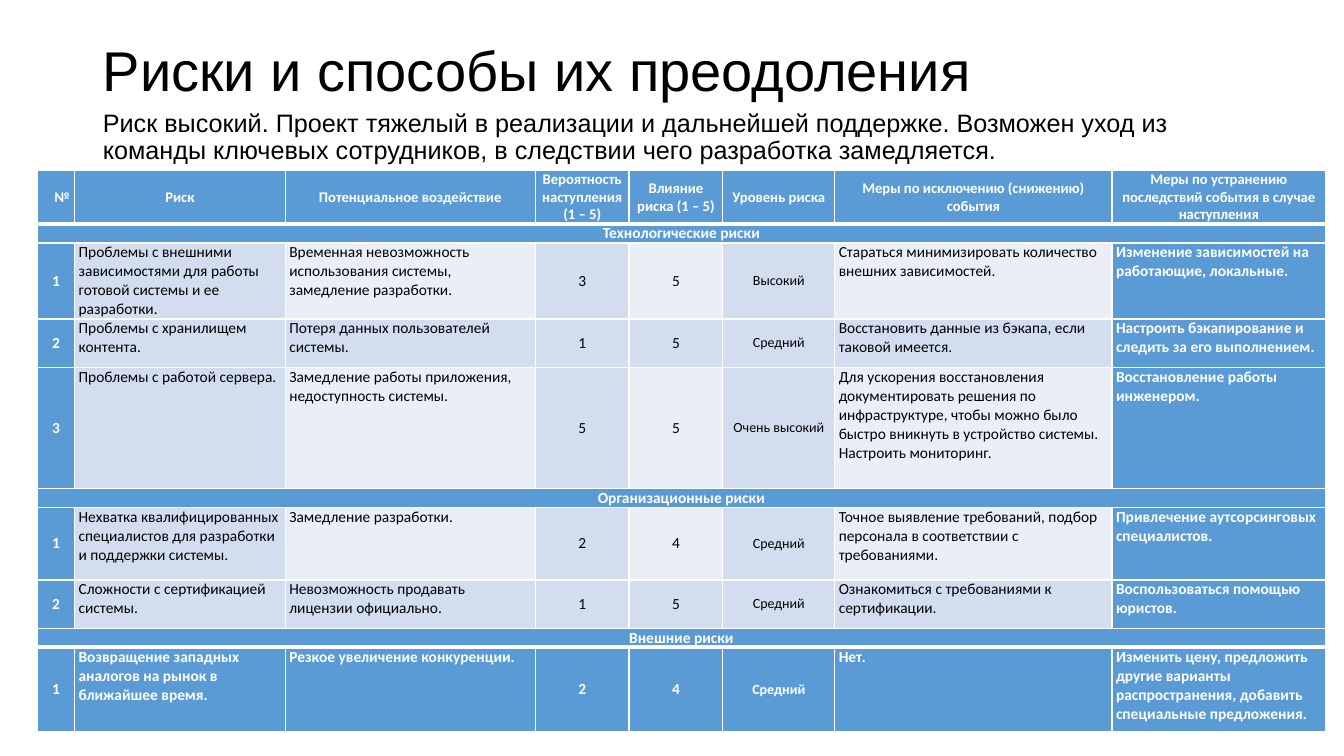
import lxml.etree
import pptx
import pptx.dml.color
import pptx.enum.text
import pptx.oxml.ns
import pptx.util

RGBColor = pptx.dml.color.RGBColor
Inches = pptx.util.Inches
Pt = pptx.util.Pt
ALIGN = pptx.enum.text.PP_ALIGN
ANCHOR = pptx.enum.text.MSO_ANCHOR

BLACK = RGBColor(0x00, 0x00, 0x00)
WHITE = RGBColor(0xFF, 0xFF, 0xFF)
BLUE = RGBColor(0x5B, 0x9B, 0xD5)
PALE = RGBColor(0xD2, 0xDE, 0xEF)
PALEST = RGBColor(0xEA, 0xEF, 0xF7)

# Slide grid, in inches
SLIDE_W, SLIDE_H = 13.33, 7.5
TEXT_LEFT, TEXT_W = 0.92, 11.5
TABLE_LEFT, TABLE_TOP = 0.37, 1.69
COLUMNS = [0.37, 2.09, 2.48, 0.93, 0.93, 1.11, 2.75, 2.12]
ROWS = [0.31, 0.12, 0.72, 0.48, 1.2, 0.12, 0.72, 0.48, 0.12, 0.84]
NUMBER_COL, LEVEL_COL, REMEDY_COL = 0, 5, 7
CENTERED_COLS = (0, 3, 4, 5)

TITLE = "Риски и способы их преодоления"
SUMMARY = ("Риск высокий. Проект тяжелый в реализации и дальнейшей поддержке. "
           "Возможен уход из команды ключевых сотрудников, в следствии чего "
           "разработка замедляется.")

# Table content: a row with one entry is a section heading
RISKS = [
    ["№", "Риск", "Потенциальное воздействие", "Вероятность наступления (1 – 5)",
     "Влияние риска (1 – 5)", "Уровень риска", "Меры по исключению (снижению) события",
     "Меры по устранению последствий события в случае наступления"],
    ["Технологические риски"],
    ["1", "Проблемы с внешними зависимостями для работы готовой системы и ее разработки.",
     "Временная невозможность использования системы, замедление разработки.",
     "3", "5", "Высокий", "Стараться минимизировать количество внешних зависимостей.",
     "Изменение зависимостей на работающие, локальные."],
    ["2", "Проблемы с хранилищем контента.", "Потеря данных пользователей системы.",
     "1", "5", "Средний", "Восстановить данные из бэкапа, если таковой имеется.",
     "Настроить бэкапирование и следить за его выполнением."],
    ["3", "Проблемы с работой сервера.",
     "Замедление работы приложения, недоступность системы.",
     "5", "5", "Очень высокий",
     "Для ускорения восстановления документировать решения по инфраструктуре, чтобы "
     "можно было быстро вникнуть в устройство системы. Настроить мониторинг.",
     "Восстановление работы инженером."],
    ["Организационные риски"],
    ["1", "Нехватка квалифицированных специалистов для разработки и поддержки системы.",
     "Замедление разработки.", "2", "4", "Средний",
     "Точное выявление требований, подбор персонала в соответствии с требованиями.",
     "Привлечение аутсорсинговых специалистов."],
    ["2", "Сложности с сертификацией системы.",
     "Невозможность продавать лицензии официально.", "1", "5", "Средний",
     "Ознакомиться с требованиями к сертификации.", "Воспользоваться помощью юристов."],
    ["Внешние риски"],
    ["1", "Возвращение западных аналогов на рынок в ближайшее время.",
     "Резкое увеличение конкуренции.", "2", "4", "Средний", "Нет.",
     "Изменить цену, предложить другие варианты распространения, добавить "
     "специальные предложения."],
]
LAST_ROW = len(RISKS) - 1


def write(paragraph, text, size, font, color, bold=False):
    run = paragraph.add_run()
    run.text = text
    run.font.size = Pt(size)
    run.font.name = font
    run.font.bold = bold
    run.font.color.rgb = color


def fill_placeholder(holder, top, height, text, size, anchor, space_before):
    holder.left, holder.top = Inches(TEXT_LEFT), Inches(top)
    holder.width, holder.height = Inches(TEXT_W), Inches(height)
    frame = holder.text_frame
    frame.auto_size = pptx.enum.text.MSO_AUTO_SIZE.NONE
    frame.vertical_anchor = anchor
    paragraph = frame.paragraphs[0]
    paragraph.alignment = ALIGN.LEFT
    paragraph.line_spacing = 0.9
    paragraph.space_before = Pt(space_before)
    properties = paragraph._p.get_or_add_pPr()
    properties.set("marL", "0")
    properties.set("indent", "0")
    lxml.etree.SubElement(properties, pptx.oxml.ns.qn("a:buNone"))
    write(paragraph, text, size, "Arial", BLACK)


def draw_borders(cell, top, bottom):
    properties = cell._tc.get_or_add_tcPr()
    for side, width in (("L", 1), ("R", 1), ("T", top), ("B", bottom)):
        line = lxml.etree.SubElement(properties, pptx.oxml.ns.qn("a:ln" + side),
                                     w=str(Pt(width)))
        paint = lxml.etree.SubElement(line, pptx.oxml.ns.qn("a:solidFill"))
        lxml.etree.SubElement(paint, pptx.oxml.ns.qn("a:srgbClr"), val=str(WHITE))


def cell_fill(row, col):
    accented = (row in (0, LAST_ROW) or len(RISKS[row]) == 1
                or col in (NUMBER_COL, REMEDY_COL))
    if accented:
        return BLUE
    return PALEST if row % 2 == 0 and col % 2 == 0 else PALE


def style_cell(cell, row, col):
    # Thick rules lie under the header and above the last row
    draw_borders(cell, 3 if row in (1, LAST_ROW) else 1,
                 3 if row in (0, LAST_ROW - 1) else 1)
    cell.fill.solid()
    cell.fill.fore_color.rgb = cell_fill(row, col)
    cell.margin_left = cell.margin_right = Inches(0.04)
    cell.margin_top = cell.margin_bottom = 0


def write_cell(cell, row, col, text):
    heading = row == 0 or len(RISKS[row]) == 1
    centered = heading or col in CENTERED_COLS
    accented = cell_fill(row, col) == BLUE
    size = 10.5 if row == 0 else 10 if col == LEVEL_COL else 11
    cell.vertical_anchor = ANCHOR.MIDDLE if centered else ANCHOR.TOP
    paragraph = cell.text_frame.paragraphs[0]
    paragraph.alignment = ALIGN.CENTER if centered else ALIGN.LEFT
    paragraph.space_before = paragraph.space_after = Pt(3)
    if row == 0 and col == NUMBER_COL:
        paragraph._p.get_or_add_pPr().set("indent", str(Inches(0.12)))
    write(paragraph, text, size, "Calibri", WHITE if accented else BLACK, accented)


def add_risk_table(slide):
    table = slide.shapes.add_table(
        len(ROWS), len(COLUMNS), Inches(TABLE_LEFT), Inches(TABLE_TOP),
        Inches(sum(COLUMNS)), Inches(sum(ROWS))).table
    for column, width in zip(table.columns, COLUMNS):
        column.width = Inches(width)
    for table_row, height in zip(table.rows, ROWS):
        table_row.height = Inches(height)
    for row, texts in enumerate(RISKS):
        for col in range(len(COLUMNS)):
            style_cell(table.cell(row, col), row, col)
        if len(texts) == 1:
            table.cell(row, 0).merge(table.cell(row, len(COLUMNS) - 1))
        for col, text in enumerate(texts):
            write_cell(table.cell(row, col), row, col, text)


def main():
    deck = pptx.Presentation()
    deck.slide_width, deck.slide_height = Inches(SLIDE_W), Inches(SLIDE_H)
    slide = deck.slides.add_slide(deck.slide_layouts[1])
    # Title and summary
    fill_placeholder(slide.shapes.title, 0, 1.45, TITLE, 40, ANCHOR.MIDDLE, 0)
    fill_placeholder(slide.placeholders[1], 1.05, 0.8, SUMMARY, 18, ANCHOR.TOP, 10)
    # Risk register
    add_risk_table(slide)
    deck.save("out.pptx")


if __name__ == "__main__":
    main()
